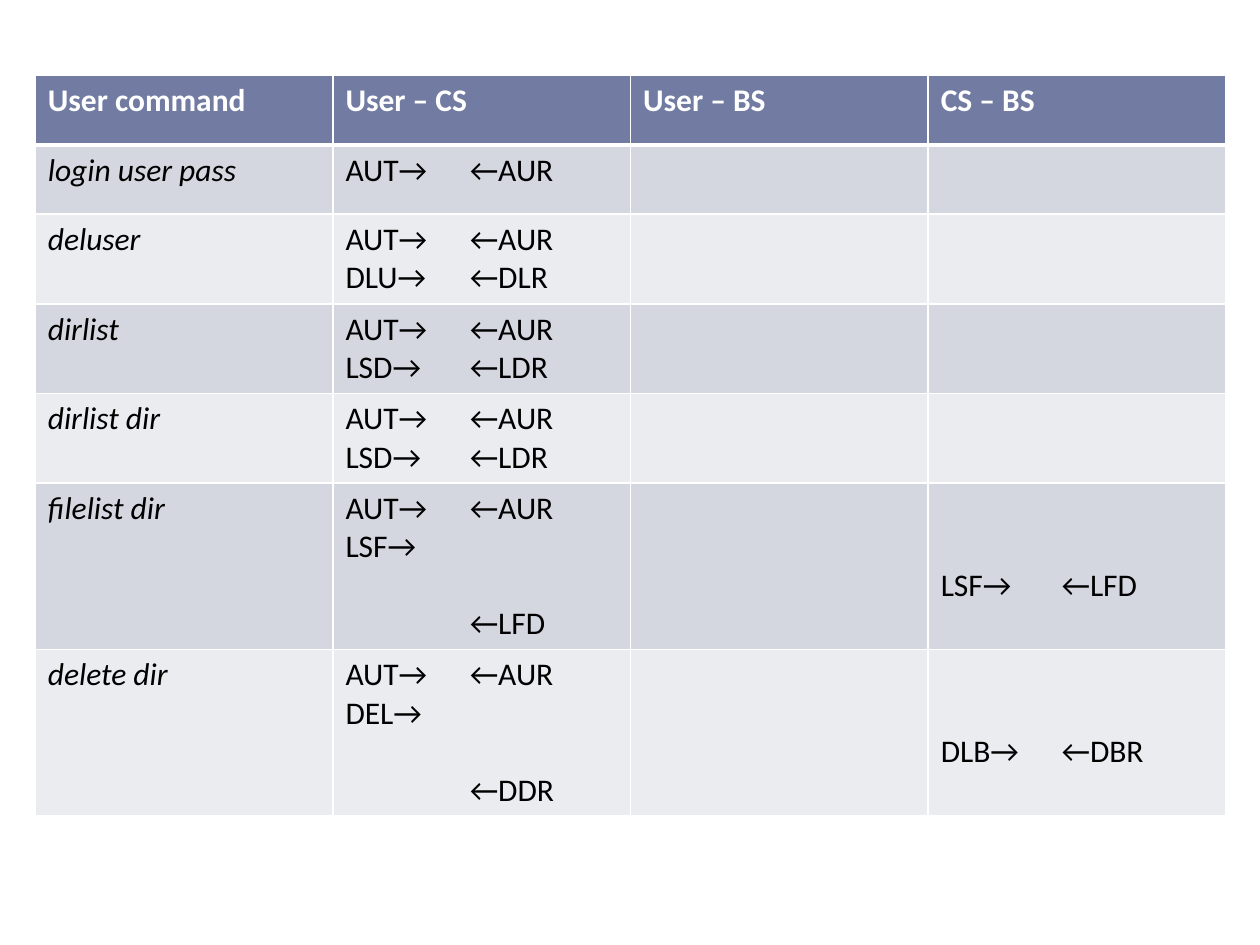
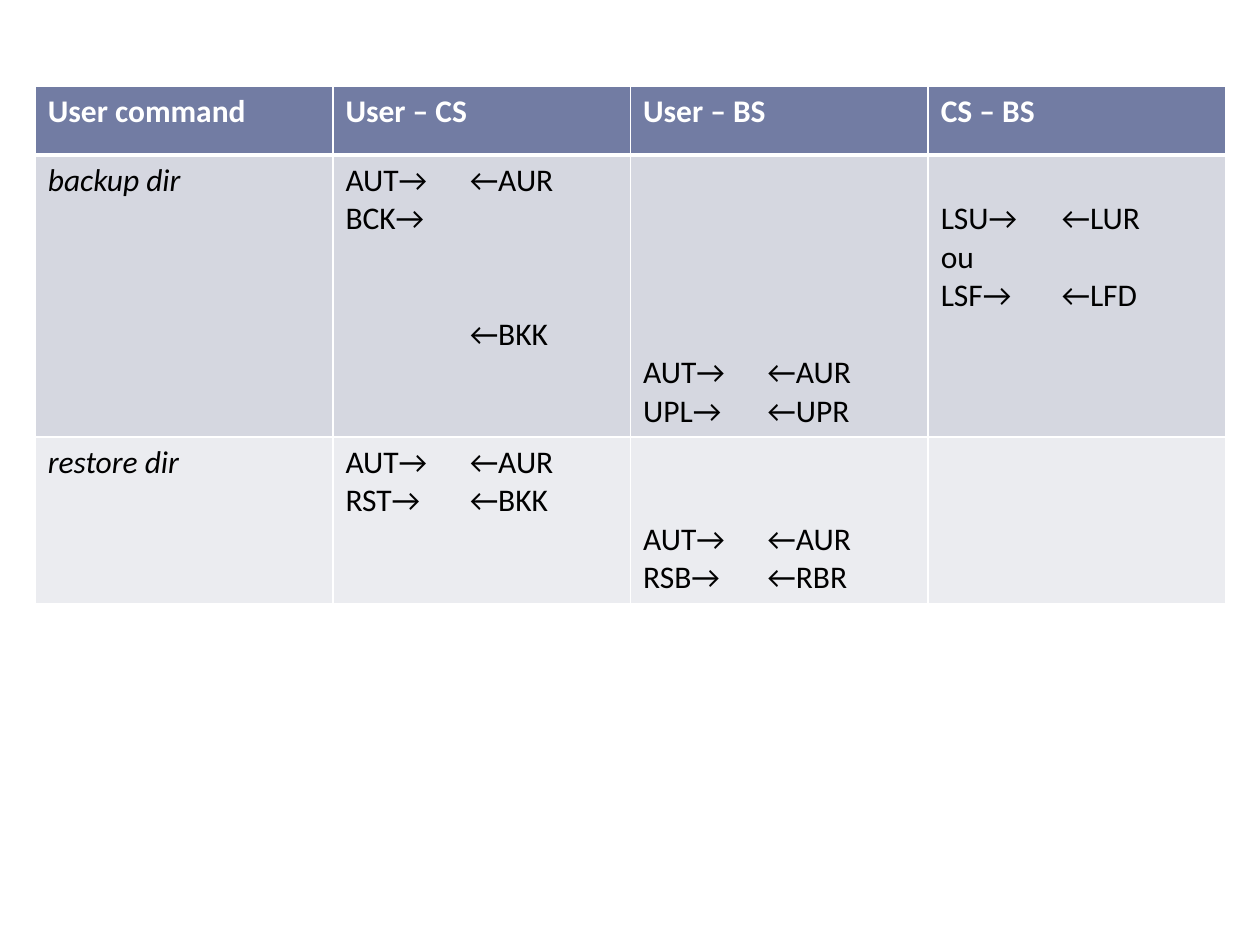
"""Build two slides of tables that map user commands to protocol messages."""
from dataclasses import dataclass

import pptx
import pptx.dml.color
import pptx.oxml
import pptx.oxml.ns
import pptx.util
from lxml import etree

Pt = pptx.util.Pt


@dataclass(frozen=True)
class Theme:
    """Colours, type and lengths in points."""
    font: str = "Calibri"
    size: float = 18
    head: str = "727CA3"
    bands: tuple[str, str] = ("D5D7E0", "EBECF0")
    white: str = "FFFFFF"
    black: str = "000000"
    thin: float = 1
    thick: float = 3
    left: float = 20.16
    width: float = 170.1
    least: float = 39.6
    pitch: float = 22
    pad: float = 3.6
    tabs: tuple[float, ...] = (71, 71, 71, 69)


@dataclass(frozen=True)
class Line:
    """One line of text, with the number of free lines above it."""
    text: str
    gap: int = 0


@dataclass(frozen=True)
class Row:
    """A command and its messages on the three links."""
    name: str
    user_cs: tuple[Line, ...] = ()
    user_bs: tuple[Line, ...] = ()
    cs_bs: tuple[Line, ...] = ()

    def cells(self) -> list[tuple[Line, ...]]:
        """Return the lines of each cell from left to right."""
        return [(Line(self.name),), self.user_cs, self.user_bs, self.cs_bs]


@dataclass(frozen=True)
class Page:
    """A slide with the top of its table and its rows."""
    top: float
    rows: tuple[Row, ...]


THEME = Theme()
HEAD = Row("User command", (Line("User – CS"),), (Line("User – BS"),), (Line("CS – BS"),))
AUTH = Line("AUT→\t←AUR")
LIST = (AUTH, Line("LSD→\t←LDR"))
PAGES = (
    Page(43.2, (
        Row("login user pass", (AUTH,)),
        Row("deluser", (AUTH, Line("DLU→\t←DLR"))),
        Row("dirlist", LIST),
        Row("dirlist dir", LIST),
        Row("filelist dir", (AUTH, Line("LSF→"), Line("\t←LFD", 1)),
            cs_bs=(Line("LSF→\t←LFD", 2),)),
        Row("delete dir", (AUTH, Line("DEL→"), Line("\t←DDR", 1)),
            cs_bs=(Line("DLB→\t←DBR", 2),)),
    )),
    Page(49, (
        Row("backup dir", (AUTH, Line("BCK→"), Line("\t←BKK", 2)),
            (Line(AUTH.text, 5), Line("UPL→\t←UPR")),
            (Line("LSU→\t←LUR", 1), Line("ou"), Line("LSF→\t←LFD"))),
        Row("restore dir", (AUTH, Line("RST→\t←BKK")),
            (Line(AUTH.text, 2), Line("RSB→\t←RBR"))),
    )),
)


def paint(hue: str) -> pptx.dml.color.RGBColor:
    """Turn a hex string into a colour."""
    return pptx.dml.color.RGBColor.from_string(hue)


def add_node(base: etree._Element, tag: str, **attrs: str) -> etree._Element:
    """Append a child element with its attributes."""
    return etree.SubElement(base, pptx.oxml.ns.qn(tag), attrs)


def edge_cell(cell: pptx.table._Cell, row: int) -> None:
    """Draw white borders, with a thick one below the header."""
    props = cell._tc.get_or_add_tcPr()
    heavy = {(0, "B"), (1, "T")}
    for side in "LRTB":
        width = THEME.thick if (row, side) in heavy else THEME.thin
        line = add_node(props, f"a:ln{side}", w=str(Pt(width)))
        fill = add_node(line, "a:solidFill")
        add_node(fill, "a:srgbClr", val=THEME.white)


def fill_text(cell: pptx.table._Cell, lines: tuple[Line, ...], row: int, col: int) -> None:
    """Write the lines, set their gaps and tabs, and format the runs."""
    if not lines:
        return
    cell.margin_top = Pt(THEME.pad + lines[0].gap * THEME.pitch)
    cell.text_frame.text = "\n".join(line.text for line in lines)
    for spot, (line, para) in enumerate(zip(lines, cell.text_frame.paragraphs)):
        if spot and line.gap:
            para.space_before = Pt(line.gap * THEME.pitch)
        if "\t" in line.text:
            tabs = add_node(para._p.get_or_add_pPr(), "a:tabLst")
            add_node(tabs, "a:tab", pos=str(Pt(THEME.tabs[col])), algn="l")
        for run in para.runs:
            font = run.font
            font.name, font.size = THEME.font, Pt(THEME.size)
            font.bold = row == 0
            font.italic = row > 0 and col == 0
            font.color.rgb = paint(THEME.black if row else THEME.white)


def height(row: Row) -> float:
    """Find the height that holds the tallest cell of a row."""
    count = max(sum(line.gap + 1 for line in lines) for lines in row.cells())
    return max(THEME.least, count * THEME.pitch + 2 * THEME.pad)


def draw_page(deck: pptx.presentation.Presentation, page: Page) -> None:
    """Add a slide with its table."""
    slide = deck.slides.add_slide(deck.slide_layouts[6])
    rows = (HEAD, *page.rows)
    cols = len(THEME.tabs)
    frame = slide.shapes.add_table(
        len(rows), cols, Pt(THEME.left), Pt(page.top),
        Pt(cols * THEME.width), Pt(sum(map(height, rows))))
    table = frame.table
    for column in table.columns:
        column.width = Pt(THEME.width)
    for r, row in enumerate(rows):
        table.rows[r].height = Pt(height(row))
        hue = THEME.bands[(r - 1) % 2] if r else THEME.head
        for c, lines in enumerate(row.cells()):
            cell = table.cell(r, c)
            edge_cell(cell, r)
            cell.fill.solid()
            cell.fill.fore_color.rgb = paint(hue)
            fill_text(cell, lines, r, c)


def main() -> None:
    """Build and save the deck."""
    deck = pptx.Presentation()
    deck.slide_width, deck.slide_height = Pt(720), Pt(540)
    for page in PAGES:
        draw_page(deck, page)
    deck.save("out.pptx")


if __name__ == "__main__":
    main()
